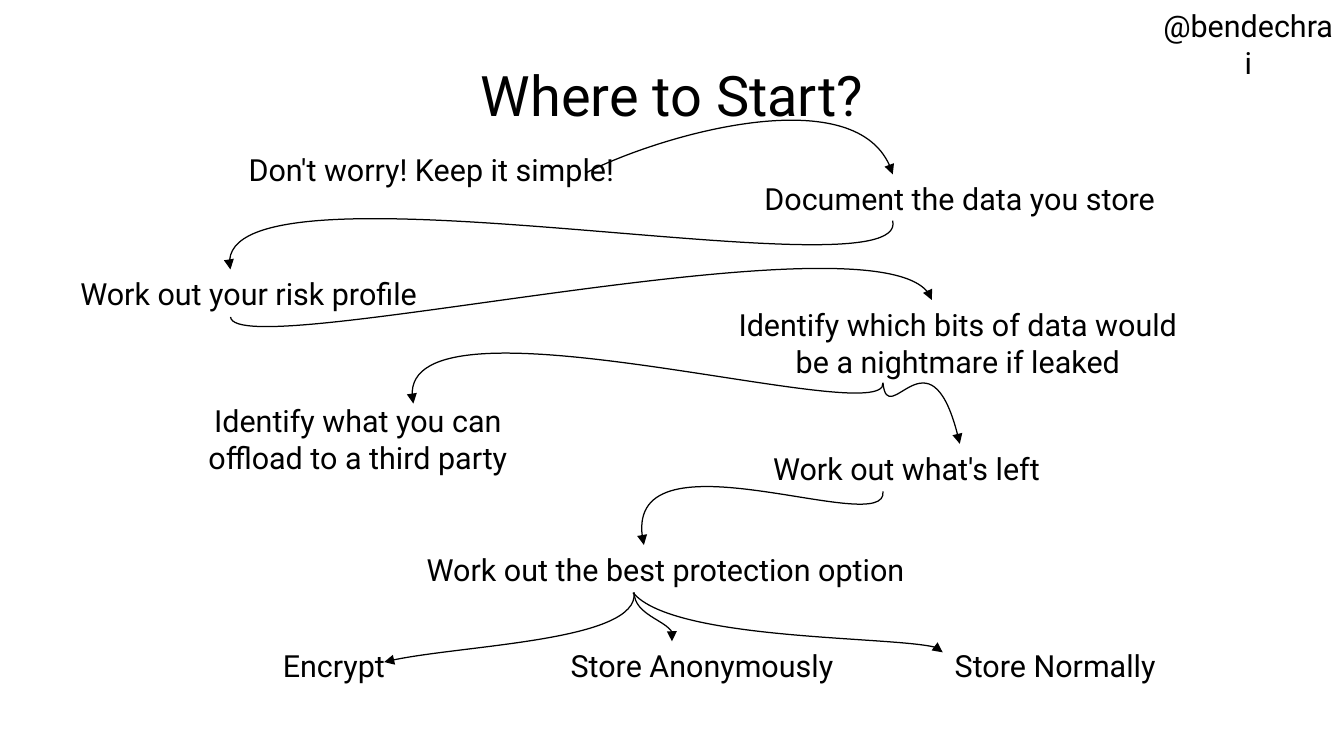
from pptx import Presentation
from pptx import util as u
from pptx.dml.color import RGBColor
from pptx.enum import text
from pptx.oxml.ns import qn
from lxml import etree

COLORS = {"ink": "000000", "paper": "FFFFFF"}
COLUMNS, ROWS = 1102, 620
CURVE_STEPS = 40

presentation = Presentation()
presentation.slide_width = u.Inches(11.02)
presentation.slide_height = u.Inches(6.2)
column = presentation.slide_width / COLUMNS
row = presentation.slide_height / ROWS
slide = presentation.slides.add_slide(presentation.slide_layouts[6])
slide.background.fill.solid()
slide.background.fill.fore_color.rgb = RGBColor.from_string(COLORS["paper"])


def add_label(lines, left, top, width, height, **formats):
    shape = slide.shapes.add_textbox(
        round(left * column), round(top * row), round(width * column), round(height * row))
    frame = shape.text_frame
    frame_formats = {"word_wrap": False, "auto_size": text.MSO_AUTO_SIZE.SHAPE_TO_FIT_TEXT}
    for name, value in {**frame_formats, **formats.get("frame", {})}.items():
        setattr(frame, name, value)
    font_formats = {"name": "Roboto", "size": u.Pt(formats.get("size", 18))}
    for index, line in enumerate(lines):
        paragraph = frame.paragraphs[0] if index == 0 else frame.add_paragraph()
        paragraph.alignment = formats.get("align", text.PP_ALIGN.LEFT)
        run = paragraph.add_run()
        run.text = line
        for name, value in font_formats.items():
            setattr(run.font, name, value)
        run.font.color.rgb = RGBColor.from_string(COLORS["ink"])


def add_curved_arrow(*controls):
    points = [(x * column, y * row) for x, y in controls]
    samples = []
    for step in range(CURVE_STEPS + 1):
        t = step / CURVE_STEPS
        weights = ((1 - t) ** 3, 3 * t * (1 - t) ** 2, 3 * t ** 2 * (1 - t), t ** 3)
        samples.append([round(sum(w * p[axis] for w, p in zip(weights, points)))
                        for axis in (0, 1)])
    builder = slide.shapes.build_freeform(*samples[0])
    builder.add_line_segments(samples[1:], close=False)
    shape = builder.convert_to_shape()
    shape.shadow.inherit = False
    shape.fill.background()
    shape.line.color.rgb = RGBColor.from_string(COLORS["ink"])
    shape.line.width = 0
    outline = next(shape.element.iter(qn("a:path")))
    for segment in list(outline)[1:]:
        outline.remove(segment)
    bezier = etree.SubElement(outline, qn("a:cubicBezTo"))
    for x, y in points[1:]:
        etree.SubElement(bezier, qn("a:pt"),
                         x=str(round(x - shape.left)), y=str(round(y - shape.top)))
    line = shape.element.spPr.find(qn("a:ln"))
    etree.SubElement(line, qn("a:tailEnd"), type="triangle")


center = text.PP_ALIGN.CENTER
add_label(["@bendechrai"], 941, 1, 165, 78, align=center, frame={"word_wrap": True})
title_frame = {"word_wrap": True, "vertical_anchor": text.MSO_ANCHOR.MIDDLE,
               "auto_size": text.MSO_AUTO_SIZE.NONE}
title_frame.update({f"margin_{side}": 0 for side in ("left", "top", "right", "bottom")})
add_label(["Where to Start?"], 55, 25, 992, 104, size=33, align=center, frame=title_frame)

LINE_HEIGHT = 44
steps = [
    ("Don't worry! Keep it simple!", 194, 119, 343),
    ("Document the data you store", 617, 143, 363),
    ("Work out what's left", 624, 364, 254),
    ("Work out your risk profile", 56, 221, 319),
    ("Work out the best protection option", 340, 447, 441),
    ("Encrypt", 222, 526, 109),
    ("Store Anonymously", 458, 526, 248),
    ("Store Normally", 773, 526, 196),
]
for label, left, top, width in steps:
    add_label([label], left, top, width, LINE_HEIGHT)

two_line_steps = [
    (["Identify what you can", "offload to a third party"], 151, 325, 285),
    (["Identify which bits of data would", "be a nightmare if leaked"], 584, 246, 403),
]
for lines, left, top, width in two_line_steps:
    add_label(lines, left, top, width, 78, align=center)

arrows = [
    ((480, 142), (543, 110), (709, 63), (732, 143)),
    ((732, 181), (748, 246), (165, 118), (189, 221)),
    ((189, 260), (193, 300), (740, 166), (764, 246)),
    ((724, 314), (729, 354), (315, 228), (339, 331)),
    ((724, 314), (728, 354), (764, 262), (787, 364)),
    ((724, 403), (729, 443), (504, 345), (528, 447)),
    ((520, 486), (524, 526), (370, 529), (315, 543)),
    ((520, 486), (520, 504), (559, 512), (551, 526)),
    ((519, 486), (552, 526), (781, 521), (773, 535)),
]
for controls in arrows:
    add_curved_arrow(*controls)

presentation.save("out.pptx")
